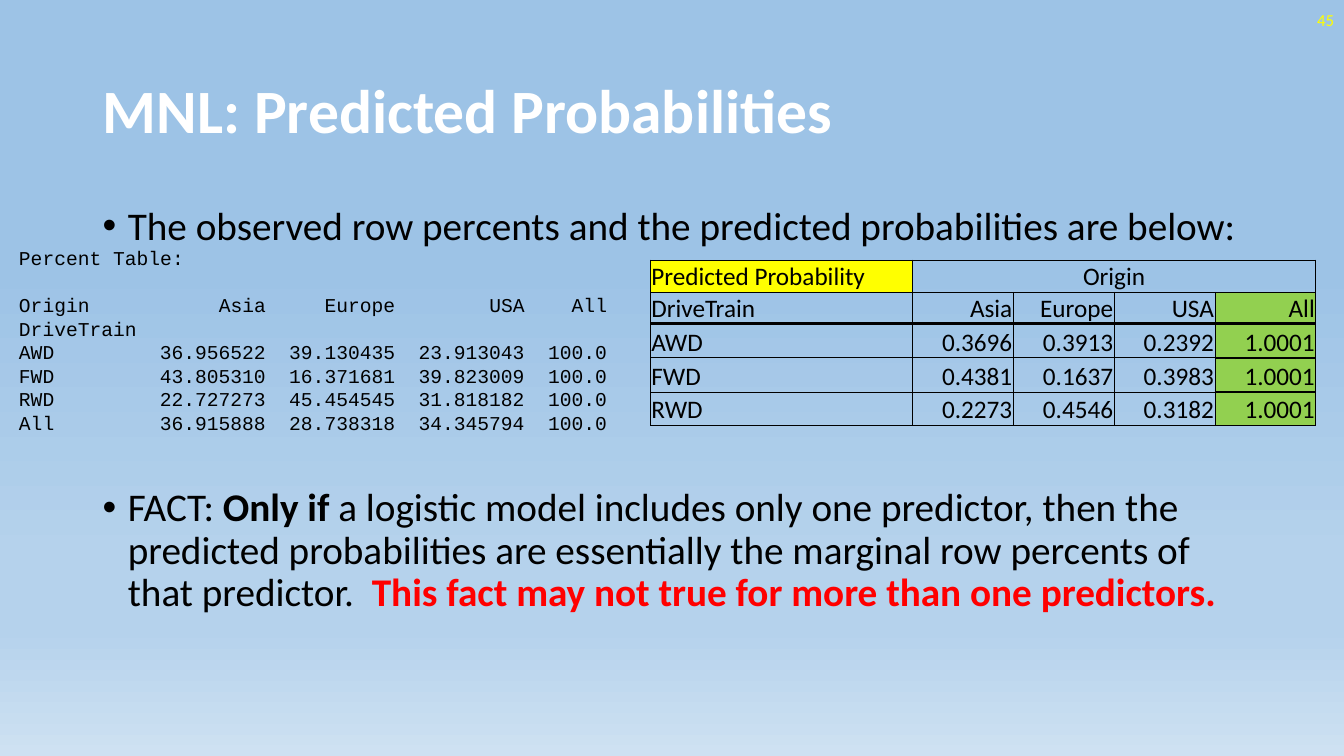
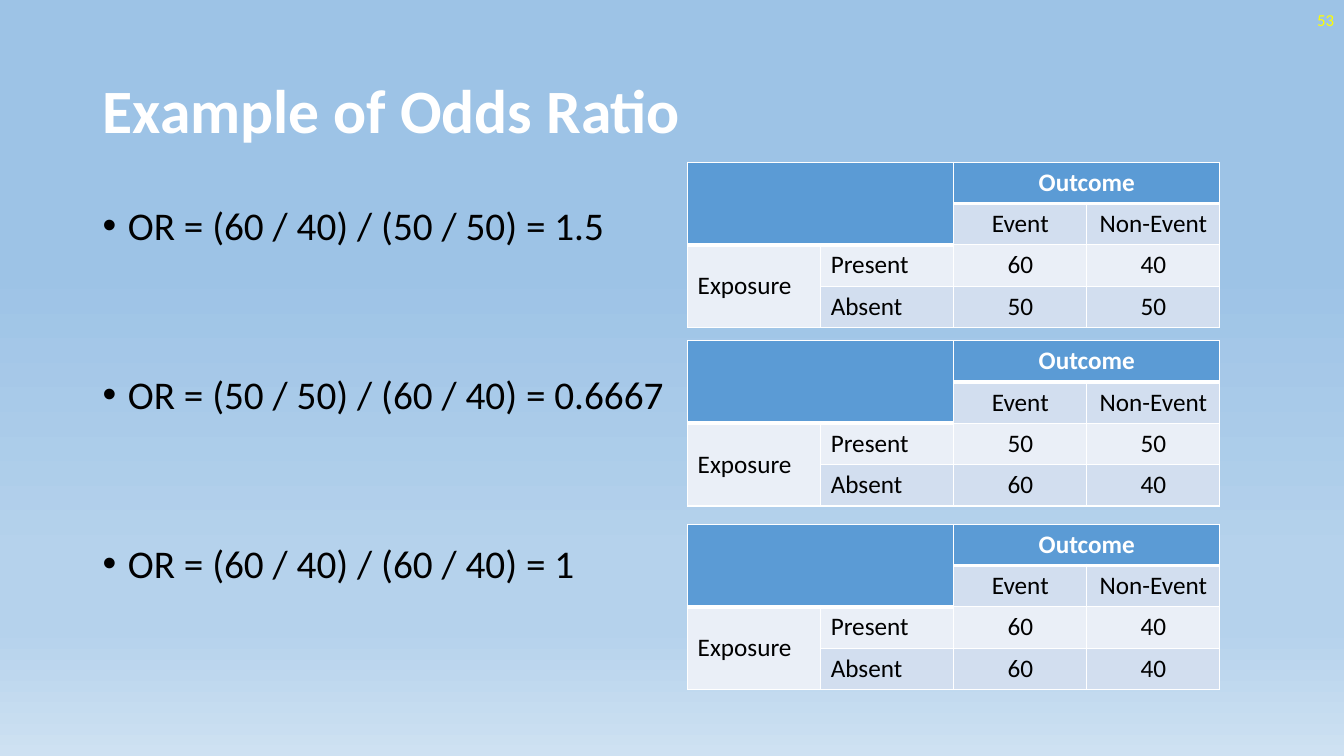
"""Build two statistics slides on predicted probabilities and odds ratios."""
import dataclasses
import typing

import lxml.etree
import pptx
import pptx.dml.color
import pptx.enum.text
import pptx.oxml.ns
import pptx.presentation
import pptx.slide
import pptx.table
import pptx.text.text
import pptx.util

Inches = pptx.util.Inches
Pt = pptx.util.Pt
RGBColor = pptx.dml.color.RGBColor
Align = pptx.enum.text.PP_ALIGN
Anchor = pptx.enum.text.MSO_ANCHOR

BLACK = RGBColor(0x00, 0x00, 0x00)
WHITE = RGBColor(0xFF, 0xFF, 0xFF)
RED = RGBColor(0xFF, 0x00, 0x00)
YELLOW = RGBColor(0xFF, 0xFF, 0x00)
GREEN = RGBColor(0x92, 0xD0, 0x50)
BLUE = RGBColor(0x5B, 0x9B, 0xD5)
PALE_BLUE = RGBColor(0xD2, 0xDE, 0xEF)
PALEST_BLUE = RGBColor(0xEA, 0xEF, 0xF7)
SKY_STOPS = (
    (35, RGBColor(0x9D, 0xC3, 0xE6)),
    (74, RGBColor(0xB5, 0xD2, 0xEC)),
    (83, RGBColor(0xB5, 0xD2, 0xEC)),
    (100, RGBColor(0xCE, 0xE1, 0xF2)),
)
BODY_FONT = "Calibri"
CODE_FONT = "Courier New"
BODY_LINE = 40.2
CODE_LINE = 16.8
CODE_CHARACTER = 8.4 / 72
CODE_COLUMN_ENDS = (21, 32, 43, 50)

PERCENT_ROWS = (
    ("Origin", "Asia", "Europe", "USA", "All"),
    ("DriveTrain",),
    ("AWD", "36.956522", "39.130435", "23.913043", "100.0"),
    ("FWD", "43.805310", "16.371681", "39.823009", "100.0"),
    ("RWD", "22.727273", "45.454545", "31.818182", "100.0"),
    ("All", "36.915888", "28.738318", "34.345794", "100.0"),
)
PROBABILITY_ROWS = (
    ("Predicted Probability", "Origin", "", "", ""),
    ("DriveTrain", "Asia", "Europe", "USA", "All"),
    ("AWD", "0.3696", "0.3913", "0.2392", "1.0001"),
    ("FWD", "0.4381", "0.1637", "0.3983", "1.0001"),
    ("RWD", "0.2273", "0.4546", "0.3182", "1.0001"),
)


@dataclasses.dataclass(frozen=True)
class Run:
    """A piece of body text."""

    text: str
    bold: bool = False
    color: RGBColor = BLACK


@dataclasses.dataclass(frozen=True)
class Bullet:
    """A bullet with the number of empty lines above it."""

    runs: tuple[Run, ...]
    gap_lines: int = 0


@dataclasses.dataclass(frozen=True)
class Cell:
    """The content and format of a table cell."""

    text: str
    fill: RGBColor | None = None
    align: Align = Align.LEFT
    anchor: Anchor = Anchor.TOP
    color: RGBColor = BLACK
    bold: bool = False


@dataclasses.dataclass(frozen=True)
class Grid:
    """A table layout, with thick lines below the listed cells."""

    left: float
    top: float
    widths: tuple[float, ...]
    heights: tuple[float, ...]
    line_color: RGBColor
    line_width: float
    thick_width: float
    thick_below: frozenset[tuple[int, int]]
    merges: tuple[tuple[int, int, int, int], ...]
    margins: tuple[float, float, float, float] = (0.1, 0.05, 0.1, 0.05)


@dataclasses.dataclass(frozen=True)
class OddsExample:
    """An odds ratio and the counts behind it."""

    formula: str
    top: float
    present: tuple[str, str]
    absent: tuple[str, str]


ODDS_EXAMPLES = (
    OddsExample("OR = (60 / 40) / (50 / 50) = 1.5", 1.61, ("60", "40"), ("50", "50")),
    OddsExample("OR = (50 / 50) / (60 / 40) = 0.6667", 3.38, ("50", "50"), ("60", "40")),
    OddsExample("OR = (60 / 40) / (60 / 40) = 1", 5.2, ("60", "40"), ("60", "40")),
)


def add_element(parent: typing.Any, tag: str, **attributes: str) -> typing.Any:
    """Append a DrawingML element."""
    return lxml.etree.SubElement(parent, pptx.oxml.ns.qn(f"a:{tag}"), attributes)


def write(
    paragraph: typing.Any,
    text: str,
    *,
    size: float = 18,
    font: str = BODY_FONT,
    color: RGBColor = BLACK,
    bold: bool = False,
    align: Align = Align.LEFT,
) -> None:
    """Add a formatted run to a paragraph."""
    paragraph.alignment = align
    run = paragraph.add_run()
    run.text = text
    run.font.name = font
    run.font.size = Pt(size)
    run.font.bold = bold
    run.font.color.rgb = color


def add_text_frame(
    slide: pptx.slide.Slide, left: float, top: float, width: float, height: float
) -> pptx.text.text.TextFrame:
    """Add a wrapping text box and return its frame."""
    box = slide.shapes.add_textbox(Inches(left), Inches(top), Inches(width), Inches(height))
    box.text_frame.word_wrap = True
    return box.text_frame


def paint_background(presentation: pptx.presentation.Presentation) -> None:
    """Give the slide master its sky gradient."""
    master = presentation.slide_master
    fill = master.background.fill
    fill.gradient()
    fill.gradient_angle = 270
    stops = master.element.xpath("p:cSld/p:bg/p:bgPr/a:gradFill/a:gsLst")[0]
    for stop in list(stops):
        stops.remove(stop)
    for percent, color in SKY_STOPS:
        stop = add_element(stops, "gs", pos=str(percent * 1000))
        add_element(stop, "srgbClr", val=str(color))


def add_slide(
    presentation: pptx.presentation.Presentation, title: str, number: str
) -> pptx.slide.Slide:
    """Add a slide with its title and number."""
    slide = presentation.slides.add_slide(presentation.slide_layouts[5])
    shape = slide.shapes.title
    shape.left, shape.top = Inches(0.92), Inches(0.4)
    shape.width, shape.height = Inches(11.5), Inches(1.45)
    shape.text_frame.vertical_anchor = Anchor.MIDDLE
    paragraph = shape.text_frame.paragraphs[0]
    paragraph.line_spacing = 0.9
    write(paragraph, title, size=44, color=WHITE, bold=True)
    frame = add_text_frame(slide, 10.33, 0, 3, 0.4)
    frame.vertical_anchor = Anchor.MIDDLE
    write(frame.paragraphs[0], number, size=12, color=YELLOW, align=Align.RIGHT)
    return slide


def add_bullets(slide: pptx.slide.Slide, bullets: typing.Sequence[Bullet]) -> None:
    """Add the bulleted body text."""
    frame = add_text_frame(slide, 0.92, 2, 11.5, 4.76)
    for index, bullet in enumerate(bullets):
        paragraph = frame.add_paragraph() if index else frame.paragraphs[0]
        paragraph.line_spacing = 0.9
        paragraph.space_before = Pt(10 + bullet.gap_lines * BODY_LINE)
        for run in bullet.runs:
            write(paragraph, run.text, size=28, color=run.color, bold=run.bold)
        properties = paragraph._p.get_or_add_pPr()
        properties.set("marL", str(Inches(0.25)))
        properties.set("indent", str(-Inches(0.25)))
        add_element(properties, "buFont", typeface="Arial")
        add_element(properties, "buChar", char="•")


def draw_borders(cell: pptx.table._Cell, color: RGBColor, **widths: float) -> None:
    """Draw the cell edges, named by tag, at their widths."""
    properties = cell._tc.get_or_add_tcPr()
    for tag, width in widths.items():
        line = add_element(properties, tag, w=str(Pt(width)))
        add_element(add_element(line, "solidFill"), "srgbClr", val=str(color))


def add_grid(slide: pptx.slide.Slide, grid: Grid, rows: typing.Sequence[typing.Sequence[Cell]]) -> None:
    """Add a table with its cells, merges and lines."""
    table = slide.shapes.add_table(
        len(grid.heights), len(grid.widths), Inches(grid.left), Inches(grid.top),
        Inches(sum(grid.widths)), Inches(sum(grid.heights)),
    ).table
    table.first_row = table.horz_banding = False
    for column, width in zip(table.columns, grid.widths):
        column.width = Inches(width)
    for row, height in zip(table.rows, grid.heights):
        row.height = Inches(height)
    for row_index, row_cells in enumerate(rows):
        for column_index, content in enumerate(row_cells):
            cell = table.cell(row_index, column_index)
            above = (row_index - 1, column_index) in grid.thick_below
            below = (row_index, column_index) in grid.thick_below
            draw_borders(
                cell, grid.line_color, lnL=grid.line_width, lnR=grid.line_width,
                lnT=grid.thick_width if above else grid.line_width,
                lnB=grid.thick_width if below else grid.line_width,
            )
            if content.fill is None:
                cell.fill.background()
            else:
                cell.fill.solid()
                cell.fill.fore_color.rgb = content.fill
            cell.vertical_anchor = content.anchor
            (cell.margin_left, cell.margin_top, cell.margin_right, cell.margin_bottom) = map(Inches, grid.margins)
            if content.text:
                write(cell.text_frame.paragraphs[0], content.text, color=content.color,
                      bold=content.bold, align=content.align)
    for first_row, first_column, last_row, last_column in grid.merges:
        table.cell(first_row, first_column).merge(table.cell(last_row, last_column))


def probability_cell(row: int, column: int, text: str) -> Cell:
    """Format a cell of the predicted probability table."""
    fill = YELLOW if row == column == 0 else GREEN if row and column == 4 else None
    align = Align.LEFT if column == 0 else Align.RIGHT if row else Align.CENTER
    return Cell(text, fill, align, Anchor.BOTTOM)


def add_percent_listing(slide: pptx.slide.Slide) -> None:
    """Add the observed percents, aligned with right tabs."""
    frame = add_text_frame(slide, 0.09, 2.39, 6.67, 1.99)
    for index, row in enumerate((("Percent Table:",), *PERCENT_ROWS)):
        paragraph = frame.add_paragraph() if index else frame.paragraphs[0]
        paragraph.line_spacing = Pt(CODE_LINE)
        paragraph.space_before = Pt(CODE_LINE if index == 1 else 0)
        write(paragraph, "\t".join(row), size=14, font=CODE_FONT)
        tabs = add_element(paragraph._p.get_or_add_pPr(), "tabLst")
        for end in CODE_COLUMN_ENDS:
            add_element(tabs, "tab", pos=str(Inches(end * CODE_CHARACTER)), algn="r")


def add_probability_slide(presentation: pptx.presentation.Presentation) -> None:
    """Add the slide comparing percents with probabilities."""
    slide = add_slide(presentation, "MNL: Predicted Probabilities", "45")
    fact = (
        Run("FACT: "),
        Run("Only if", bold=True),
        Run(" a logistic model includes only one predictor, then the predicted probabilities "
            "are essentially the marginal row percents of that predictor.  "),
        Run("This fact may not true for more than one predictors.", bold=True, color=RED),
    )
    intro = Run("The observed row percents and the predicted probabilities are below:")
    add_bullets(slide, (Bullet((intro,)), Bullet(fact, gap_lines=4)))
    thick = frozenset({(1, column) for column in range(5)} | {(2, 4), (3, 4)})
    grid = Grid(6.45, 2.58, (2.6, 1, 1, 1, 1), (0.32, 0.31, 0.34, 0.34, 0.33), BLACK, 0.5, 2,
                thick, ((0, 1, 0, 4),), (0.01, 0.01, 0.01, 0))
    add_grid(slide, grid, [
        [probability_cell(row, column, text) for column, text in enumerate(texts)]
        for row, texts in enumerate(PROBABILITY_ROWS)
    ])
    add_percent_listing(slide)


def add_odds_slide(presentation: pptx.presentation.Presentation) -> None:
    """Add the slide with three odds ratio examples."""
    slide = add_slide(presentation, "Example of Odds Ratio", "53")
    add_bullets(slide, [
        Bullet((Run(example.formula),), gap_lines=2 if index else 0)
        for index, example in enumerate(ODDS_EXAMPLES)
    ])
    corner = Cell("", BLUE)
    outcome = Cell("Outcome", BLUE, Align.CENTER, color=WHITE, bold=True)
    thick = frozenset({(0, column) for column in range(4)} | {(1, 0), (1, 1)})
    for example in ODDS_EXAMPLES:
        grid = Grid(6.82, example.top, (1.32,) * 4, (0.41,) * 4, WHITE, 1, 3, thick,
                    ((0, 0, 1, 1), (0, 2, 0, 3), (2, 0, 3, 0)))
        heads, present, absent = (
            [Cell(text, fill, Align.CENTER) for text in texts]
            for texts, fill in ((("Event", "Non-Event"), PALE_BLUE),
                                (example.present, PALEST_BLUE), (example.absent, PALE_BLUE))
        )
        add_grid(slide, grid, (
            (corner, corner, outcome, corner),
            (corner, corner, *heads),
            (Cell("Exposure", PALEST_BLUE, anchor=Anchor.MIDDLE), Cell("Present", PALEST_BLUE), *present),
            (Cell("", PALEST_BLUE), Cell("Absent", PALE_BLUE), *absent),
        ))


def main() -> None:
    """Build and save the presentation."""
    presentation = pptx.Presentation()
    presentation.slide_width, presentation.slide_height = Inches(13.33), Inches(7.5)
    paint_background(presentation)
    add_probability_slide(presentation)
    add_odds_slide(presentation)
    presentation.save("out.pptx")


if __name__ == "__main__":
    main()
